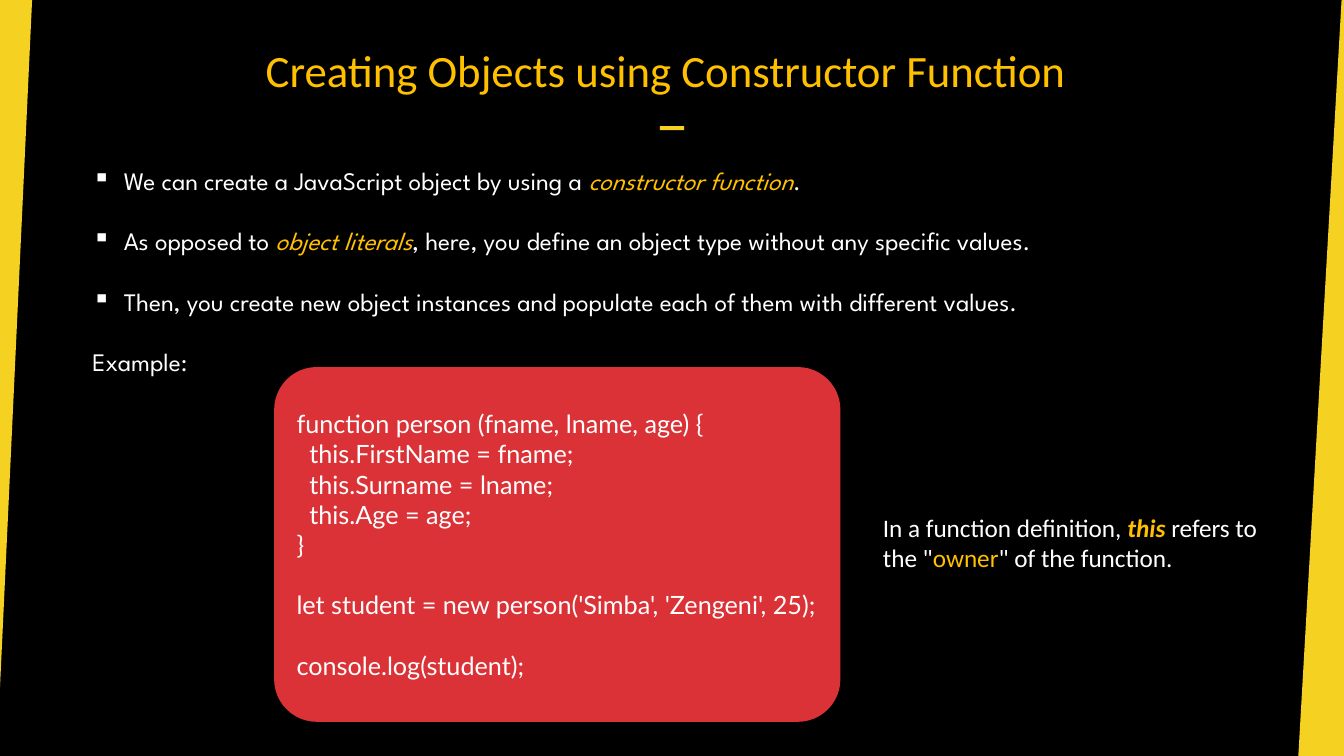
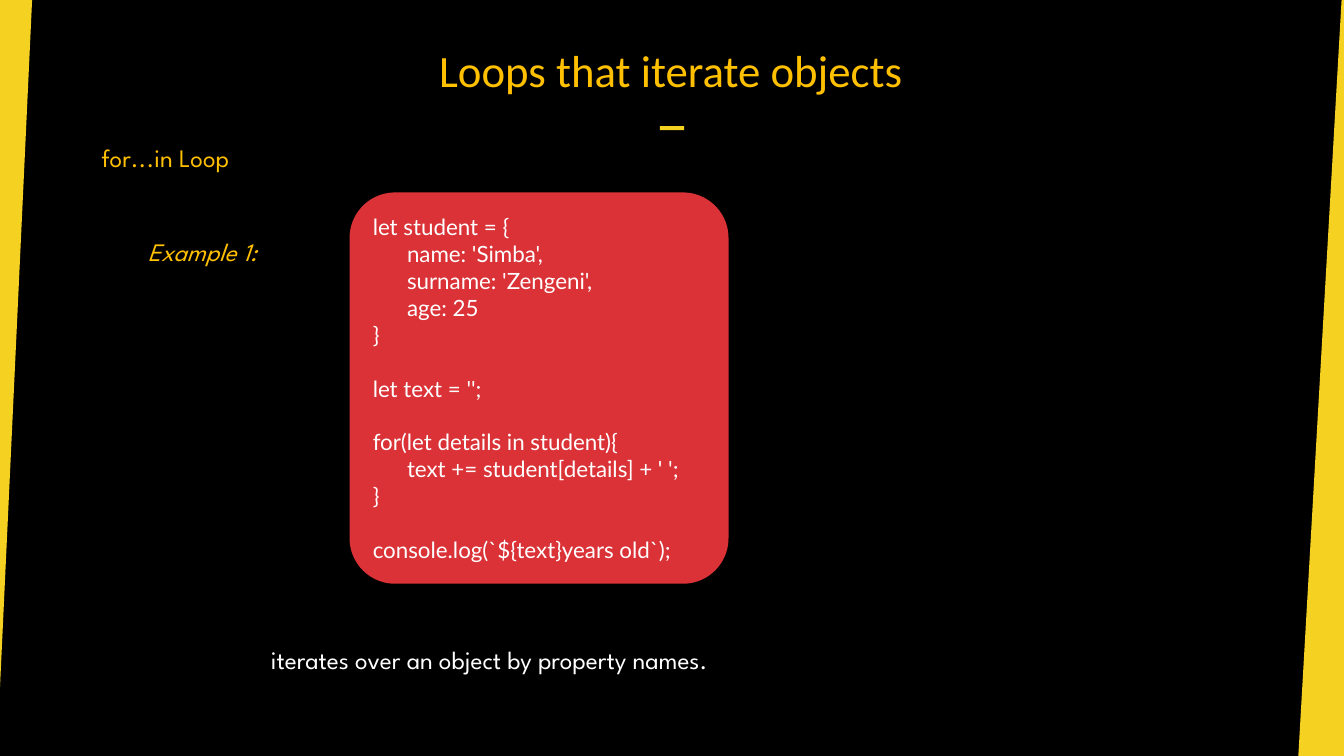
from dataclasses import dataclass
from typing import NamedTuple

from lxml import etree
from pptx import Presentation
from pptx.dml.color import RGBColor
from pptx.enum.shapes import MSO_SHAPE
from pptx.enum.text import MSO_ANCHOR, MSO_AUTO_SIZE, PP_ALIGN
from pptx.oxml.ns import qn
from pptx.shapes.autoshape import Shape
from pptx.slide import Slide
from pptx.text.text import _Paragraph as Paragraph
from pptx.util import Cm, Pt

RECTANGLE = MSO_SHAPE.RECTANGLE
ROUNDED = MSO_SHAPE.ROUNDED_RECTANGLE
MIDDLE, BOTTOM = MSO_ANCHOR.MIDDLE, MSO_ANCHOR.BOTTOM
LEFT, CENTER = PP_ALIGN.LEFT, PP_ALIGN.CENTER
NO_FIT = MSO_AUTO_SIZE.NONE
TITLE_ONLY = 5


@dataclass(frozen=True)
class Theme:
    background: RGBColor = RGBColor.from_string("000000")
    band: RGBColor = RGBColor.from_string("F5D121")
    accent: RGBColor = RGBColor.from_string("FFC000")
    panel: RGBColor = RGBColor.from_string("DA3236")
    text: RGBColor = RGBColor.from_string("FFFFFF")
    plain_font: str = "Calibri"
    body_font: str = "League Spartan"
    code_font: str = "Lato"
    title_size: int = 32
    body_size: int = 18
    small_code_size: int = 16
    line_height: float = 1.2


class Area(NamedTuple):
    left: float
    top: float
    width: float
    height: float


class Span(NamedTuple):
    text: str
    accent: bool = False
    bold: bool = False
    italic: bool = False


@dataclass(frozen=True)
class Line:
    spans: tuple[Span, ...]
    bullet: bool = False


@dataclass(frozen=True)
class TextBlock:
    area: Area
    lines: tuple[Line, ...]
    font: str


@dataclass(frozen=True)
class CodePanel:
    area: Area
    code: str
    size: int


@dataclass(frozen=True)
class Page:
    title: str
    blocks: tuple[TextBlock, ...]
    panel: CodePanel


THEME = Theme()
PAGE_WIDTH, PAGE_HEIGHT = 33.87, 19.05
TITLE_AREA = Area(5.33, 0.53, 23.16, 1.9)
DASH_AREA = Area((PAGE_WIDTH - 0.61) / 2, 3.18, 0.61, 0.1)
BANDS = (
    ((-0.13, 0), (0.81, 0), (-0.08, PAGE_HEIGHT), (-0.13, PAGE_HEIGHT)),
    ((33.81, 0), (PAGE_WIDTH, 0), (PAGE_WIDTH, PAGE_HEIGHT), (32.72, PAGE_HEIGHT)),
)
BULLET_INDENT = Cm(0.79)

CONSTRUCTOR_CODE = """\
function person (fname, lname, age) {
  this.FirstName = fname;
  this.Surname = lname;
  this.Age = age;
}

let student = new person('Simba', 'Zengeni', 25);

console.log(student);"""

LOOP_CODE = """\
let student = {
      name: 'Simba',
      surname: 'Zengeni',
      age: 25
}

let text = '';

for(let details in student){
      text += student[details] + ' ';
}

console.log(`${text}years old`);"""

PAGES = (
    Page(
        "Creating Objects using Constructor Function ",
        (
            TextBlock(
                Area(2.08, 4.04, 28.83, 6.4),
                (
                    Line((
                        Span("We can create a JavaScript object by using a "),
                        Span("constructor function", accent=True, italic=True),
                        Span("."),
                    ), bullet=True),
                    Line((
                        Span("As opposed to "),
                        Span("object literals", accent=True, italic=True),
                        Span(", here, you define an object type without any specific values."),
                    ), bullet=True),
                    Line((
                        Span("Then, you create new object instances and populate "
                             "each of them with different values."),
                    ), bullet=True),
                    Line((Span("Example:"),)),
                ),
                THEME.body_font,
            ),
            TextBlock(
                Area(22, 12.78, 10.72, 1.8),
                (
                    Line((
                        Span("In a function definition, "),
                        Span("this ", accent=True, bold=True, italic=True),
                        Span('refers to the "'),
                        Span("owner", accent=True),
                        Span('" of the function.'),
                    )),
                ),
                THEME.plain_font,
            ),
        ),
        CodePanel(Area(6.91, 9.25, 14.27, 8.94), CONSTRUCTOR_CODE, THEME.body_size),
    ),
    Page(
        "Loops that iterate objects",
        (
            TextBlock(
                Area(2.31, 3.45, 4.17, 1.02),
                (Line((Span("for...in Loop", accent=True),)),),
                THEME.body_font,
            ),
            TextBlock(
                Area(3.48, 5.84, 3.71, 1.02),
                (Line((Span("Example 1:", accent=True, italic=True),)),),
                THEME.body_font,
            ),
            TextBlock(
                Area(6.58, 16.1, 12.47, 1.02),
                (Line((Span("iterates over an object by property names."),)),),
                THEME.body_font,
            ),
        ),
        CodePanel(Area(8.81, 4.85, 9.55, 9.86), LOOP_CODE, THEME.small_code_size),
    ),
)


def to_lengths(area: Area) -> tuple[Cm, ...]:
    return tuple(Cm(value) for value in area)


def add_span(para: Paragraph, text: str, *, font: str, size: int,
             color: RGBColor = THEME.text, bold: bool = False,
             italic: bool = False) -> None:
    span = para.add_run()
    span.text = text
    span.font.name = font
    span.font.size = Pt(size)
    span.font.color.rgb = color
    span.font.bold = bold
    span.font.italic = italic


def next_paragraph(box: Shape, index: int) -> Paragraph:
    frame = box.text_frame
    return frame.add_paragraph() if index else frame.paragraphs[0]


def add_bullet(para: Paragraph) -> None:
    properties = para._p.get_or_add_pPr()
    properties.set("marL", str(BULLET_INDENT))
    properties.set("indent", str(-BULLET_INDENT))
    etree.SubElement(properties, qn("a:buChar")).set("char", "▪")


def paint(shape: Shape, color: RGBColor) -> None:
    shape.shadow.inherit = False
    shape.fill.solid()
    shape.fill.fore_color.rgb = color
    shape.line.fill.background()


def draw_frame(slide: Slide) -> None:
    for corners in BANDS:
        points = [(Cm(x), Cm(y)) for x, y in corners]
        builder = slide.shapes.build_freeform(*points[0])
        builder.add_line_segments(points[1:], close=True)
        paint(builder.convert_to_shape(), THEME.band)
    dash = slide.shapes.add_shape(RECTANGLE, *to_lengths(DASH_AREA))
    paint(dash, THEME.band)


def draw_title(slide: Slide, text: str) -> None:
    title = slide.shapes.title
    title.left, title.top, title.width, title.height = to_lengths(TITLE_AREA)
    frame = title.text_frame
    frame.auto_size = NO_FIT
    frame.vertical_anchor = BOTTOM
    frame.margin_top, frame.margin_bottom = Cm(0.1), 0
    para = frame.paragraphs[0]
    para.alignment = CENTER
    add_span(para, text, font=THEME.plain_font, size=THEME.title_size,
             color=THEME.accent)


def draw_text(slide: Slide, block: TextBlock) -> None:
    box = slide.shapes.add_textbox(*to_lengths(block.area))
    box.text_frame.word_wrap = True
    for index, line in enumerate(block.lines):
        para = next_paragraph(box, index)
        if line.bullet:
            add_bullet(para)
        if index:
            para.space_before = Pt(THEME.body_size * THEME.line_height)
        for span in line.spans:
            add_span(para, span.text, font=block.font, size=THEME.body_size,
                     color=THEME.accent if span.accent else THEME.text,
                     bold=span.bold, italic=span.italic)


def draw_code(slide: Slide, panel: CodePanel) -> None:
    box = slide.shapes.add_shape(ROUNDED, *to_lengths(panel.area))
    box.adjustments[0] = 0.12
    paint(box, THEME.panel)
    box.text_frame.word_wrap = True
    box.text_frame.vertical_anchor = MIDDLE
    after_gap = False
    for index, code_line in enumerate(panel.code.splitlines()):
        if not code_line:
            after_gap = True
            continue
        para = next_paragraph(box, index)
        para.alignment = LEFT
        if after_gap:
            para.space_before = Pt(panel.size * THEME.line_height)
        add_span(para, code_line, font=THEME.code_font, size=panel.size)
        after_gap = False


def main() -> None:
    deck = Presentation()
    deck.slide_width, deck.slide_height = Cm(PAGE_WIDTH), Cm(PAGE_HEIGHT)
    backdrop = deck.slide_master.background.fill
    backdrop.solid()
    backdrop.fore_color.rgb = THEME.background
    for page in PAGES:
        slide = deck.slides.add_slide(deck.slide_layouts[TITLE_ONLY])
        draw_frame(slide)
        draw_title(slide, page.title)
        for block in page.blocks:
            draw_text(slide, block)
        draw_code(slide, page.panel)
    deck.save("out.pptx")


if __name__ == "__main__":
    main()
